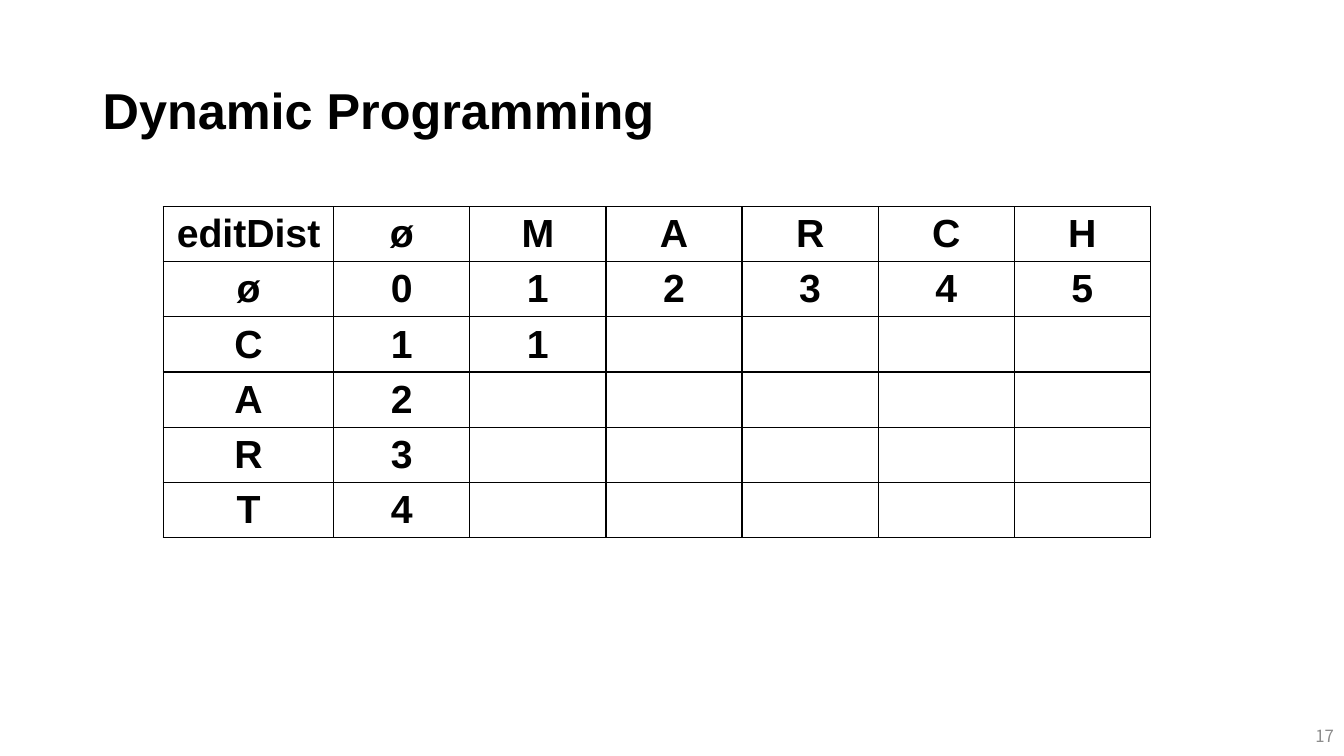
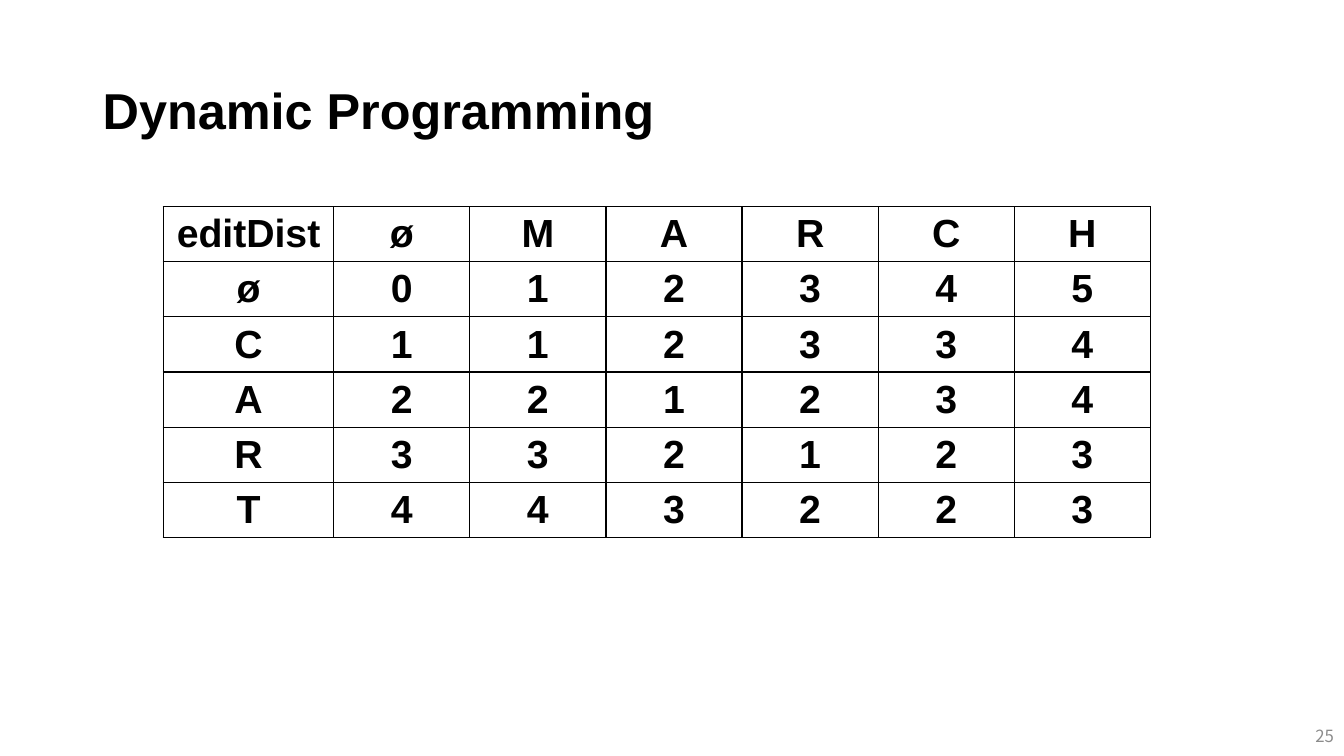
"""Build two slides that fill in an edit distance table by dynamic programming."""
from dataclasses import dataclass

from lxml import etree
from pptx import Presentation
from pptx import util as u
from pptx.dml.color import RGBColor
from pptx.enum import text
from pptx.oxml.ns import qn


@dataclass(frozen=True)
class Theme:
    ink: str = "000000"
    muted: str = "8C8C8C"
    font: str = "Arial"
    number_font: str = "Noto Sans CJK KR"
    title_size: int = 36
    table_size: int = 28
    number_size: int = 12
    border: int = 1


theme = Theme()


def write(para, words, size, font=theme.font, color=theme.ink, bold=True):
    span = para.add_run()
    span.text = words
    span.font.size = u.Pt(size)
    span.font.name = font
    span.font.bold = bold
    span.font.color.rgb = RGBColor.from_string(color)


def add_box(page, left, top, width, height):
    box = page.shapes.add_textbox(*map(u.Inches, (left, top, width, height)))
    box.text_frame.word_wrap = True
    box.text_frame.vertical_anchor = text.MSO_ANCHOR.MIDDLE
    return box.text_frame.paragraphs[0]


distances = [
    ["editDist", *"øMARCH"],
    [*"ø012345"],
    [*"C112334"],
    [*"A221234"],
    [*"R332123"],
    [*"T443223"],
]
row_count, column_count = len(distances), len(distances[0])
slides = [
    ("17", [7, 7, 3, 2, 2, 2]),
    ("25", [column_count] * row_count),
]
column_widths = [1.69] + [1.35] * (column_count - 1)
table_height = 3.2

deck = Presentation()
deck.slide_width, deck.slide_height = u.Inches(13.33), u.Inches(7.5)

for number, filled_counts in slides:
    page = deck.slides.add_slide(deck.slide_layouts[6])

    title = add_box(page, 0.92, 0.4, 11.5, 1.45)
    title.line_spacing = 0.9
    write(title, "Dynamic Programming", theme.title_size)

    footer = add_box(page, 10.33, 7.1, 3, 0.4)
    footer.alignment = text.PP_ALIGN.RIGHT
    write(footer, number, theme.number_size, theme.number_font, theme.muted, False)

    table = page.shapes.add_table(
        row_count, column_count, u.Inches(1.62), u.Inches(2.05),
        u.Inches(sum(column_widths)), u.Inches(table_height),
    ).table
    table.first_row = table.horz_banding = False
    for column, width in zip(table.columns, column_widths):
        column.width = u.Inches(width)

    for row, values, filled in zip(table.rows, distances, filled_counts):
        row.height = u.Inches(table_height / row_count)
        for index, (cell, value) in enumerate(zip(row.cells, values)):
            cell.vertical_anchor = text.MSO_ANCHOR.MIDDLE
            cell.margin_top = cell.margin_bottom = u.Inches(0.04)
            para = cell.text_frame.paragraphs[0]
            para.alignment = text.PP_ALIGN.CENTER
            if index < filled:
                write(para, value, theme.table_size)
            properties = cell._tc.get_or_add_tcPr()
            for side in ("a:lnL", "a:lnR", "a:lnT", "a:lnB"):
                line = etree.SubElement(properties, qn(side), w=str(u.Pt(theme.border)))
                fill = etree.SubElement(line, qn("a:solidFill"))
                etree.SubElement(fill, qn("a:srgbClr"), val=theme.ink)
            cell.fill.background()

deck.save("out.pptx")
